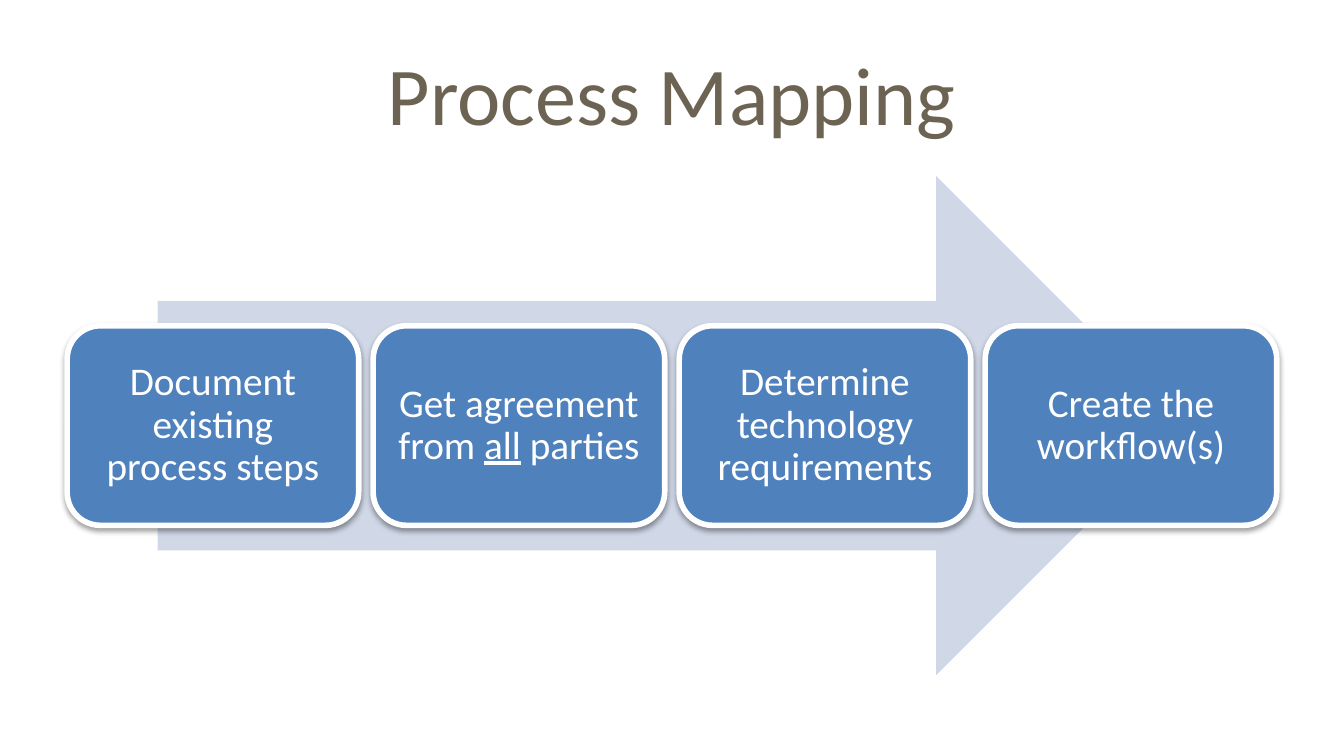
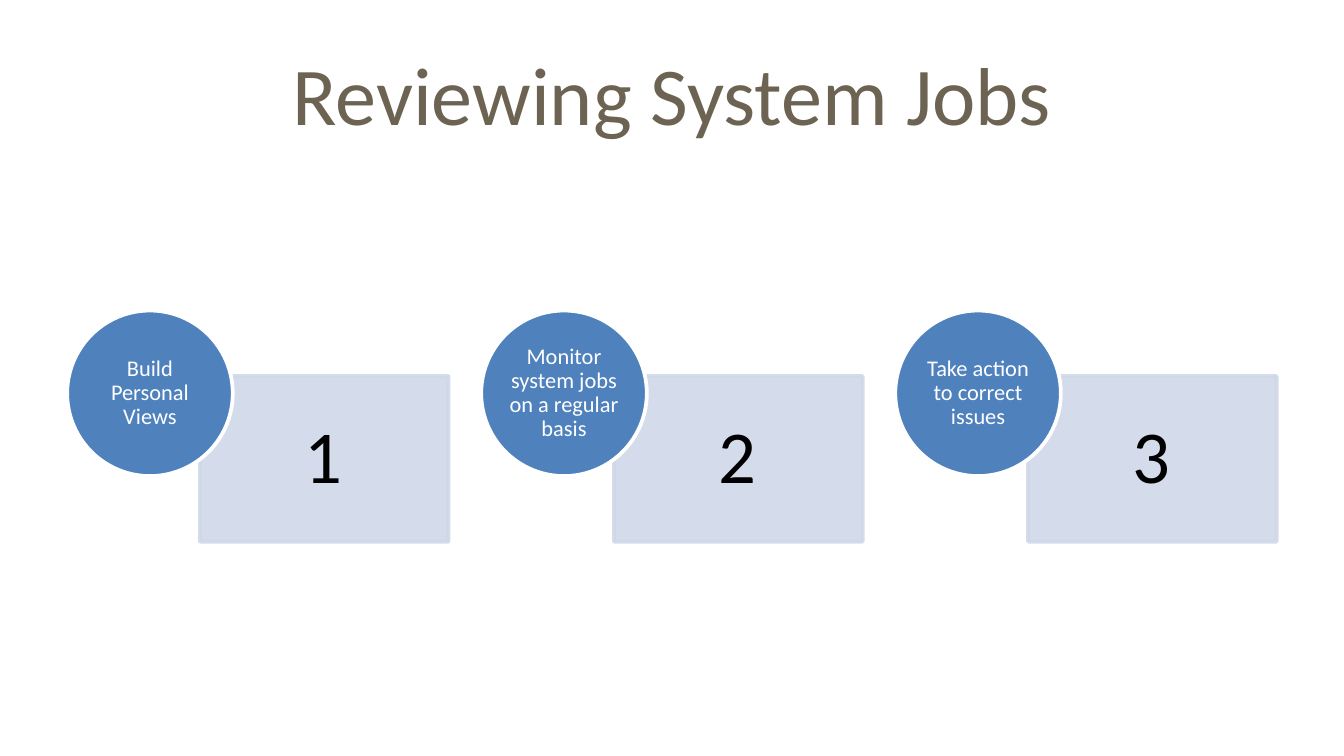
from dataclasses import dataclass

from lxml import etree
from pptx import Presentation
from pptx.dml.color import RGBColor
from pptx.enum.shapes import MSO_SHAPE
from pptx.enum.text import MSO_ANCHOR, PP_ALIGN
from pptx.oxml.ns import qn
from pptx.util import Cm, Pt

ARROW = MSO_SHAPE.RIGHT_ARROW
ROUNDED = MSO_SHAPE.ROUNDED_RECTANGLE
RECTANGLE = MSO_SHAPE.RECTANGLE
ELLIPSE = MSO_SHAPE.OVAL
CENTER = PP_ALIGN.CENTER
MIDDLE = MSO_ANCHOR.MIDDLE

TITLE_COLOR = RGBColor(0x6C, 0x63, 0x52)
BLUE = RGBColor(0x4F, 0x81, 0xBD)
PALE_BLUE = RGBColor(0xD0, 0xD8, 0xE8)
WHITE = RGBColor(0xFF, 0xFF, 0xFF)
BLACK = RGBColor(0x00, 0x00, 0x00)
FONT = "Calibri"

# Page measures in centimetres
PAGE_WIDTH, PAGE_HEIGHT = 25.4, 14.29
MARGIN = 1.27
CONTENT_WIDTH = PAGE_WIDTH - 2 * MARGIN


@dataclass(frozen=True)
class Area:
    """A rectangle in centimetres."""
    left: float
    top: float
    width: float
    height: float

    def shrink(self, gap: float) -> "Area":
        return Area(self.left + gap, self.top + gap,
                    self.width - 2 * gap, self.height - 2 * gap)

    def lengths(self) -> tuple:
        return Cm(self.left), Cm(self.top), Cm(self.width), Cm(self.height)


@dataclass(frozen=True)
class Job:
    number: str
    label: str


# Underscores enclose underlined words
STEPS = (
    "Document existing process steps",
    "Get agreement from _all_ parties",
    "Determine technology requirements",
    "Create the workflow(s)",
)
JOBS = (
    Job("1", "Build Personal Views"),
    Job("2", "Monitor system jobs on a regular basis"),
    Job("3", "Take action to correct issues"),
)


def add_text(page, area: Area, text: str, *, size: float, color: RGBColor,
             insets: tuple = (0, 0, 0, 0), line_spacing: float = 0.9) -> None:
    """Centred text; insets run left, top, right, bottom."""
    frame = page.shapes.add_textbox(*area.lengths()).text_frame
    frame.word_wrap = True
    frame.vertical_anchor = MIDDLE
    (frame.margin_left, frame.margin_top,
     frame.margin_right, frame.margin_bottom) = map(Cm, insets)
    para = frame.paragraphs[0]
    para.alignment = CENTER
    para.line_spacing = line_spacing
    for index, part in enumerate(text.split("_")):
        span = para.add_run()
        span.text = part
        span.font.name = FONT
        span.font.size = Pt(size)
        span.font.color.rgb = color
        if index % 2:
            span.font.underline = True


def add_box(page, kind, area: Area, fill: RGBColor, *, line: RGBColor | None = None,
            line_width: float = 2, opacity: int = 100):
    box = page.shapes.add_shape(kind, *area.lengths())
    box.shadow.inherit = False
    box.fill.solid()
    box.fill.fore_color.rgb = fill
    if line is None:
        box.line.fill.background()
    else:
        box.line.color.rgb = line
        box.line.width = Pt(line_width)
    if opacity < 100:
        for color in box.element.spPr.iter(qn("a:srgbClr")):
            etree.SubElement(color, qn("a:alpha"), val=str(opacity * 1000))
    return box


def add_shadow(box) -> None:
    """Soft shadow below the box."""
    effects = box.element.spPr.find(qn("a:effectLst"))
    shadow = etree.SubElement(effects, qn("a:outerShdw"), blurRad=str(Pt(3.1)),
                              dist=str(Pt(1.6)), dir="5400000", rotWithShape="0")
    color = etree.SubElement(shadow, qn("a:srgbClr"), val=str(BLACK))
    etree.SubElement(color, qn("a:alpha"), val="38000")


def add_page(deck, title: str):
    page = deck.slides.add_slide(deck.slide_layouts[6])
    add_text(page, Area(MARGIN, 0.57, CONTENT_WIDTH, 2.38), title, size=44,
             color=TITLE_COLOR, insets=(0.25, 0.13, 0.25, 0.13), line_spacing=1)
    return page


def spread(count: int, width: float) -> list[float]:
    """Left edges of equal items that fill the content width."""
    pitch = (CONTENT_WIDTH - width) / (count - 1)
    return [MARGIN + index * pitch for index in range(count)]


def build_process_mapping(deck) -> None:
    page = add_page(deck, "Process Mapping")
    arrow = Area(2.98, 3.33, 19.43, 9.43)
    add_box(page, ARROW, arrow, PALE_BLUE)

    # Step cards centred on the arrow
    width, height = 5.51, 0.4 * arrow.height
    top = arrow.top + (arrow.height - height) / 2
    for left, step in zip(spread(len(STEPS), width), STEPS):
        card = Area(left, top, width, height)
        add_shadow(add_box(page, ROUNDED, card, BLUE, line=WHITE, line_width=3))
        add_text(page, card.shrink(0.18), step, size=21, color=WHITE,
                 insets=(0.22,) * 4)


def build_system_jobs(deck) -> None:
    page = add_page(deck, "Reviewing System Jobs")
    diameter, panel_width = 3.13, 4.7
    panel_shift, number_shift = 2.51, 0.75
    for left, job in zip(spread(len(JOBS), panel_shift + panel_width), JOBS):
        # Numbered panel
        panel = Area(left + panel_shift, 7.11, panel_width, diameter)
        add_box(page, RECTANGLE, panel, PALE_BLUE, line=PALE_BLUE, opacity=90)
        number = Area(panel.left + number_shift, panel.top,
                      panel.width - number_shift, panel.height)
        add_text(page, number, job.number, size=40, color=BLACK,
                 insets=(0, 0.79, 0.79, 0.79))
        # Label circle over the panel corner
        circle = Area(left, 5.87, diameter, diameter)
        add_box(page, ELLIPSE, circle, BLUE, line=WHITE)
        add_text(page, circle.shrink(0.46), job.label, size=12, color=WHITE)


def main() -> None:
    deck = Presentation()
    deck.slide_width, deck.slide_height = Cm(PAGE_WIDTH), Cm(PAGE_HEIGHT)
    build_process_mapping(deck)
    build_system_jobs(deck)
    deck.save("out.pptx")


if __name__ == "__main__":
    main()
